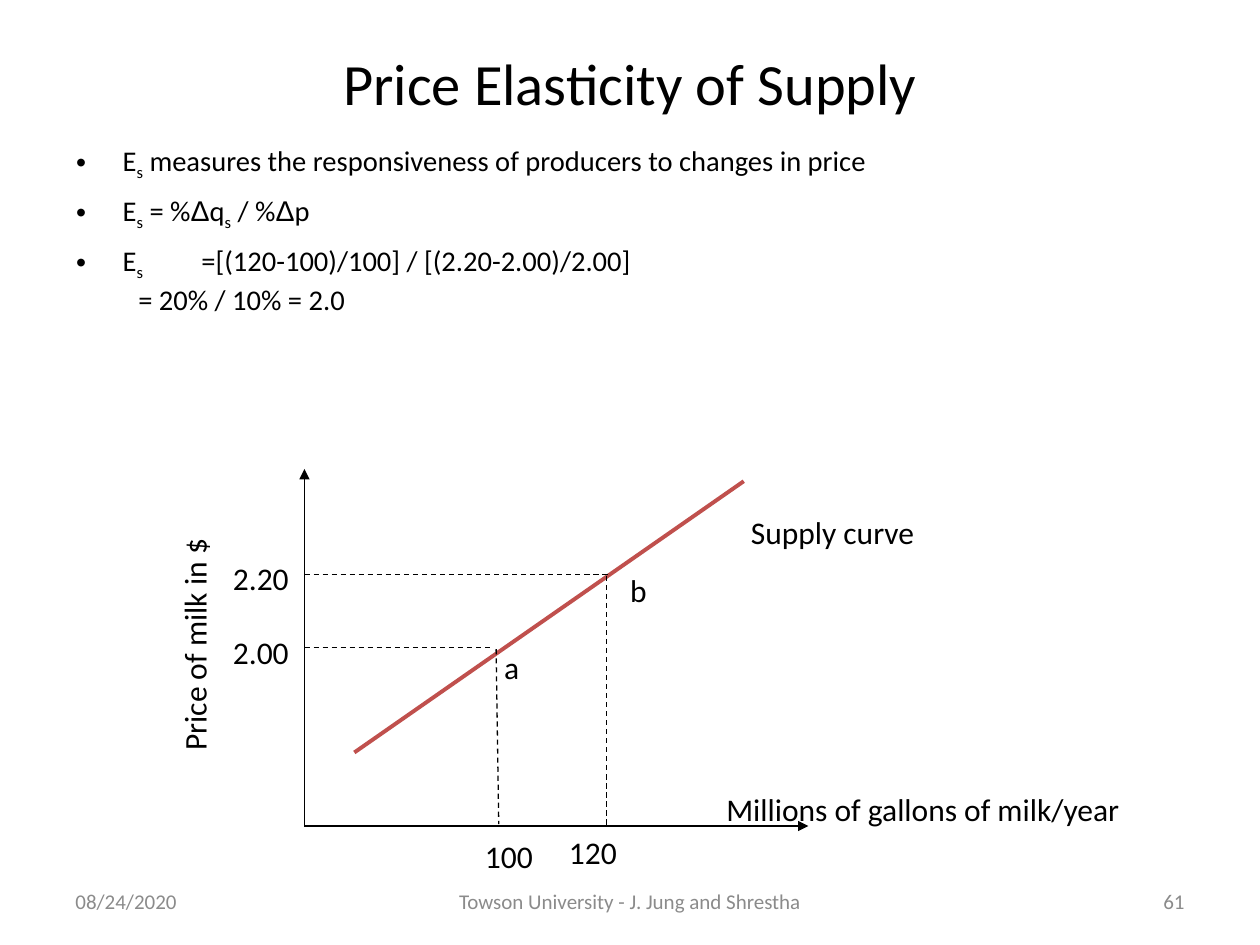
from dataclasses import dataclass
from itertools import groupby

from lxml import etree
from pptx import Presentation
from pptx.dml.color import RGBColor
from pptx.enum.dml import MSO_LINE as Dash
from pptx.enum.shapes import MSO_CONNECTOR as Conn
from pptx.enum.text import MSO_ANCHOR as Anchor
from pptx.enum.text import MSO_AUTO_SIZE as Fit
from pptx.enum.text import PP_ALIGN as Align
from pptx.oxml.ns import qn
from pptx.util import Pt

BLACK = RGBColor(0x00, 0x00, 0x00)
GRAY = RGBColor(0x8B, 0x8B, 0x8B)
RED = RGBColor(0xC0, 0x50, 0x4D)

# Chart anchors, in points
LEFT, BASE = 174, 472


@dataclass
class Label:
    text: str
    x: float
    y: float
    w: float
    h: float = 29
    turn: int = 0


@dataclass
class Line:
    x1: float
    y1: float
    x2: float
    y2: float
    color: RGBColor = BLACK
    width: float = 0.75
    dash: bool = False
    arrow: bool = False


LINES = [
    # Axes and supply curve
    Line(LEFT, BASE, LEFT, 268, arrow=True),
    Line(LEFT, BASE, 462, BASE, arrow=True),
    Line(202.5, 430, 425, 275, RED, 2.25),
    # Guides to points b and a
    Line(LEFT, 328.5, 348, 328.5, dash=True),
    Line(283.5, 371, 285, 471, dash=True),
    Line(LEFT, 370, 280, 370, dash=True),
    Line(346.5, 329, 346.5, BASE, dash=True),
]

LABELS = [
    Label("2.20", 126, 316, 60),
    Label("2.00", 126, 358, 60),
    Label("100", 270, 475, 48, 50),
    Label("120", 318, 472.5, 48, 50),
    Label("Millions of gallons of milk/year", 408, 448, 288, 50),
    Label("Price of milk in $", 15, 325.5, 192, turn=270),
    Label("b", 353, 322.5, 48),
    Label("a", 281, 367, 30),
    Label("Supply curve", 422, 289.5, 160.5),
]

# Underscores enclose subscripts
POINTS = [
    "E_s_ measures the responsiveness of producers to changes in price",
    "E_s_ = %Δq_s_ / %Δp",
    "E_s\t_=[(120-100)/100] / [(2.20-2.00)/2.00]\n\t= 20% / 10% = 2.0",
]


def add_runs(para, text: str, size: float, color: RGBColor) -> None:
    for i, part in enumerate(text.split("_")):
        for mark, chars in groupby(part, lambda c: c if c in "Δ\n" else ""):
            if mark == "\n":
                para.add_line_break()
                continue
            run = para.add_run()
            run.text = "".join(chars)
            font = run.font
            font.size = Pt(size)
            font.name = "Arial" if mark else "Calibri"
            font.color.rgb = color
            if i % 2:
                run._r.get_or_add_rPr().set("baseline", "-25000")


def add_bullet(para) -> None:
    props = para._p.get_or_add_pPr()
    props.set("marL", str(Pt(27)))
    props.set("indent", str(-Pt(26.5)))
    color = etree.SubElement(props, qn("a:buClr"))
    etree.SubElement(color, qn("a:srgbClr"), val=str(BLACK))
    etree.SubElement(props, qn("a:buFont"), typeface="Arial")
    etree.SubElement(props, qn("a:buChar"), char="•")


def add_text(slide, lines: list[str], x: float, y: float, w: float, h: float,
             *, size: float = 18, color: RGBColor = BLACK, align=Align.LEFT,
             anchor=Anchor.TOP, gap: float = 0, bullet: bool = False,
             turn: int = 0, fit=Fit.NONE) -> None:
    box = slide.shapes.add_textbox(Pt(x), Pt(y), Pt(w), Pt(h))
    box.rotation = turn
    frame = box.text_frame
    frame.word_wrap = True
    frame.auto_size = fit
    frame.vertical_anchor = anchor
    for i, line in enumerate(lines):
        para = frame.add_paragraph() if i else frame.paragraphs[0]
        if bullet:
            add_bullet(para)
        para.alignment = align
        if i:
            para.space_before = Pt(gap)
        add_runs(para, line, size, color)


def add_line(slide, line: Line) -> None:
    shape = slide.shapes.add_connector(
        Conn.STRAIGHT, Pt(line.x1), Pt(line.y1), Pt(line.x2), Pt(line.y2))
    shape.line.color.rgb = line.color
    shape.line.width = Pt(line.width)
    if line.dash:
        shape.line.dash_style = Dash.DASH
    if line.arrow:
        etree.SubElement(shape.line._get_or_add_ln(), qn("a:tailEnd"),
                         type="triangle")
    etree.SubElement(shape._element.spPr, qn("a:effectLst"))


def main() -> None:
    deck = Presentation()
    deck.slide_width, deck.slide_height = Pt(720), Pt(540)
    slide = deck.slides.add_slide(deck.slide_layouts[6])

    # Title and bullets
    add_text(slide, ["Price Elasticity of Supply"], 36, 21.5, 648, 50.5,
             size=33.4, align=Align.CENTER, anchor=Anchor.MIDDLE)
    add_text(slide, POINTS, 36, 78, 648, 168, size=16.3, gap=6.4, bullet=True)

    # Footer
    for text, x, w, align in (
        ("08/24/2020", 36, 168, Align.LEFT),
        ("Towson University - J. Jung and Shrestha", 246, 228, Align.CENTER),
        ("61", 516, 168, Align.RIGHT),
    ):
        add_text(slide, [text], x, 500.5, w, 29, size=12, color=GRAY,
                 align=align, anchor=Anchor.MIDDLE)

    # Supply chart
    for line in LINES:
        add_line(slide, line)
    for label in LABELS:
        add_text(slide, [label.text], label.x, label.y, label.w, label.h,
                 turn=label.turn, fit=Fit.SHAPE_TO_FIT_TEXT)

    deck.save("out.pptx")


if __name__ == "__main__":
    main()
